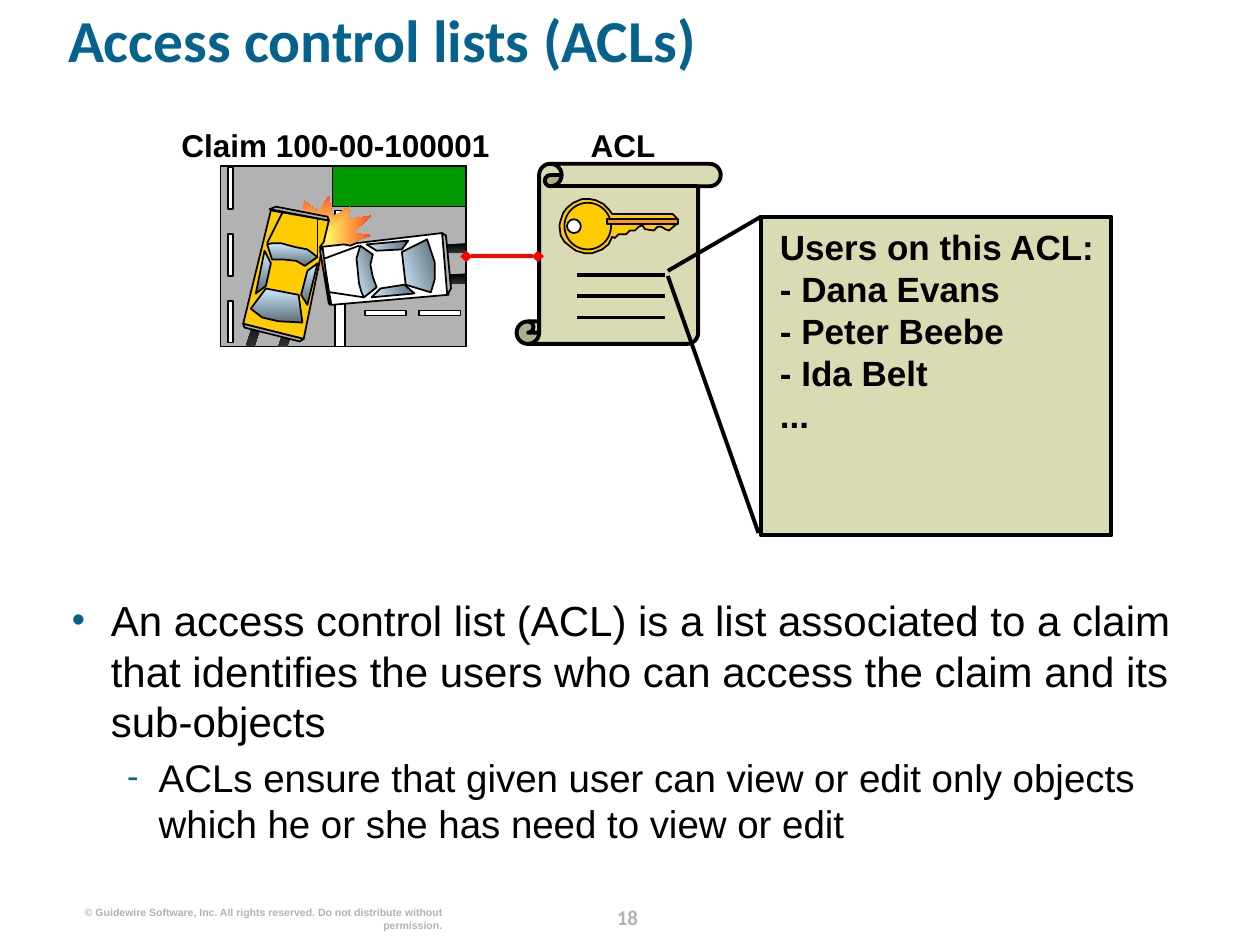
from lxml import etree
from pptx import Presentation
from pptx import util as u
from pptx.dml.color import RGBColor
from pptx.enum import shapes, text
from pptx.oxml.ns import qn

COLUMNS, ROWS = 100, 75
CELL = u.Inches(10) / COLUMNS
COLORS = {
    "black": "000000", "white": "FFFFFF", "title": "04628C", "footer": "B2B2B2",
    "paper": "DADAB3", "road": "B2B2B2", "grass": "009900", "yellow": "FFCC00",
    "orange": "FF9900", "red": "FF0000", "flame": "FFFF66", "tire": "333333",
    "glass": "CCECFF", "glass_dark": "5E6D76",
}
RECTANGLE = shapes.MSO_SHAPE.RECTANGLE
OVAL = shapes.MSO_SHAPE.OVAL
TIRE = ("black", "tire")
GLASS = ("glass", "glass_dark")
ACROSS = 18.5
DOWN = 270

TIRES = [
    [(34.1, 20.1), (36.9, 20.1), (36.9, 19.3), (34.1, 19.5)],
    [(34.1, 22.6), (36.9, 22.5), (36.9, 21.7), (34.1, 21.9)],
    [(20.4, 24.8), (19.5, 27.5), (20.2, 27.5), (21, 25)],
    [(22.8, 25.4), (22.1, 27.5), (22.8, 27.5), (23.5, 25.4)],
]
BUMPERS = [
    [(19.3, 25.7), (24.1, 26.9), (23.8, 27.1), (19.4, 26)],
    [(35.1, 18.5), (35.5, 23.4), (35.8, 22.9), (35.4, 18.7)],
    [(26.2, 24.2), (25.6, 19.6), (25.4, 19.9), (26.1, 24.1)],
    [(21.4, 16.6), (21.9, 16.4), (26, 17.2), (26.1, 17.5)],
]
YELLOW_BODY = [(21.5, 16.7), (19.3, 25.7), (24.1, 26.9), (25.5, 20.1),
               (25.4, 19.6), (25.7, 19.2), (26.1, 17.5)]
YELLOW_WINDOWS = [
    [(21.2, 19.4), (21.6, 20.6), (22.5, 20.6), (23.5, 20.7), (24.2, 21.1),
     (25.2, 20.4), (24.4, 19.8), (23.4, 19.6), (22.3, 19.3), (21.6, 19.3)],
    [(21.1, 22.9), (19.9, 24.5), (20.8, 25.2), (22.1, 25.5), (24, 25.6), (23.7, 23.4)],
    [(24.4, 21.5), (25.2, 20.9), (24.4, 24.2), (23.9, 23.4)],
    [(21.5, 20.9), (21.1, 22.7), (20.3, 23.3), (21, 19.9)],
]
YELLOW_CREASES = [((21.2, 19.3), (22.4, 16.9)), ((25.2, 20.3), (25.2, 17.4))]
WHITE_BODY = [(26.3, 24.2), (35.6, 23.4), (35.1, 18.5), (28.3, 19.3),
              (27.8, 19.5), (27.3, 19.4), (25.5, 19.6)]
WHITE_WINDOWS = [
    [(28.9, 23.6), (29.9, 22.8), (29.6, 22), (29.4, 21), (29.6, 20.2), (28.6, 19.5),
     (28.3, 20.5), (28.4, 21.5), (28.5, 22.5), (28.7, 23.2)],
    [(32.2, 22.6), (34.2, 23.2), (34.5, 22.2), (34.5, 20.8), (33.9, 19), (31.9, 20)],
    [(29.9, 19.9), (29.1, 19.4), (32.4, 19.1), (31.9, 19.8)],
    [(30.2, 22.9), (32.1, 22.6), (32.9, 23.3), (29.5, 23.6)],
]
WHITE_CREASES = [((28.9, 23.6), (26.2, 23.2)), ((28.5, 19.5), (25.8, 20.5))]
KEY = [
    (48.6, 17), (48.3, 16.6), (47.9, 16.2), (47.3, 15.9), (46.8, 15.8), (46.2, 15.8),
    (45.5, 16.1), (45, 16.5), (44.7, 16.9), (44.5, 17.5), (44.4, 17.9), (44.5, 18.7),
    (44.8, 19.2), (45.3, 19.6), (45.7, 19.9), (46.4, 20.1), (47, 20.1), (47.8, 19.8),
    (48.3, 19.4), (48.6, 18.8), (48.8, 18.9), (49.1, 18.6), (49.7, 18.6), (50, 18.3),
    (50.4, 18.3), (50.7, 18), (51, 17.9), (51.2, 18.2), (51.9, 18.3), (52.2, 18),
    (52.5, 18), (52.8, 18.2), (53.1, 18.3), (53.8, 17.7), (53.8, 17.4), (53.4, 17),
]


def grid(value):
    return u.Emu(round(value * CELL))


def color(name):
    return RGBColor.from_string(COLORS[name])


def paint(shape, fill, line_width=1, angle=DOWN):
    shape.shadow.inherit = False
    if isinstance(fill, tuple):
        shape.fill.gradient()
        shape.fill.gradient_angle = angle
        for stop, name in zip(shape.fill.gradient_stops, fill):
            stop.color.rgb = color(name)
    else:
        shape.fill.solid()
        shape.fill.fore_color.rgb = color(fill)
    if line_width:
        shape.line.color.rgb = color("black")
        shape.line.width = u.Pt(line_width)
    else:
        shape.line.fill.background()


def add_preset(parent, kind, box, fill, line_width=1):
    shape = parent.add_shape(kind, *map(grid, box))
    paint(shape, fill, line_width)
    return shape


def add_outline(parent, points, fill, line_width=1, angle=DOWN):
    corners = [(grid(x), grid(y)) for x, y in points]
    builder = parent.build_freeform(*corners[0], scale=1.0)
    builder.add_line_segments(corners[1:], close=True)
    paint(builder.convert_to_shape(), fill, line_width, angle)


def add_line(parent, start, end, line_width=2.25, name="black"):
    line = parent.add_connector(shapes.MSO_CONNECTOR.STRAIGHT, *map(grid, start + end))
    line.line.color.rgb = color(name)
    line.line.width = u.Pt(line_width)
    etree.SubElement(line._element.spPr, qn("a:effectLst"))
    return line


def add_text_box(slide, box):
    frame = slide.shapes.add_textbox(*map(grid, box)).text_frame
    frame.word_wrap = True
    frame.margin_left = frame.margin_right = frame.margin_top = frame.margin_bottom = 0
    return frame


def write(paragraph, lines, size, name="black", font="Arial", bold=True, align="LEFT"):
    paragraph.alignment = getattr(text.PP_ALIGN, align)
    for index, line in enumerate(lines):
        if index:
            paragraph.add_line_break()
        run = paragraph.add_run()
        run.text = line
        run.font.size = u.Pt(size)
        run.font.name = font
        run.font.bold = bold
        run.font.color.rgb = color(name)


def add_bullet(paragraph, character, margin, indent):
    properties = paragraph._p.get_or_add_pPr()
    properties.set("marL", str(u.Inches(margin)))
    properties.set("indent", str(u.Inches(-indent)))
    tint = etree.SubElement(properties, qn("a:buClr"))
    etree.SubElement(tint, qn("a:srgbClr"), val=COLORS["title"])
    etree.SubElement(properties, qn("a:buSzPct"), val="90000")
    etree.SubElement(properties, qn("a:buFont"), typeface="Arial")
    etree.SubElement(properties, qn("a:buChar"), char=character)


def add_burst(parent):
    burst = add_preset(parent, shapes.MSO_SHAPE.EXPLOSION2, (22.2, 15.1, 7.3, 7.5),
                       ("flame", "red"), 0)
    burst.rotation = 44.7
    gradient = burst._element.spPr.find(qn("a:gradFill"))
    gradient.remove(gradient.find(qn("a:lin")))
    center = etree.SubElement(gradient, qn("a:path"), path="shape")
    etree.SubElement(center, qn("a:fillToRect"), l="50000", t="50000", r="50000", b="50000")


def add_car(parent, body, windows, creases, fill, angle):
    add_outline(parent, body, fill)
    for window in windows:
        add_outline(parent, window, GLASS, angle=angle)
    for start, end in creases:
        add_line(parent, start, end, 1)


def add_accident(slide):
    scene = slide.shapes.add_group_shape().shapes
    road = add_preset(scene, RECTANGLE, (17.5, 13.2, 19.5, 14.3), "road")
    for tire in TIRES:
        add_outline(scene, tire, TIRE, 0)
    add_preset(scene, RECTANGLE, (26.4, 13.2, 10.6, 3.2), "grass")
    add_preset(scene, RECTANGLE, (26.6, 16.7, 0.8, 10.8), "white")
    add_burst(scene)
    for row in range(3):
        add_preset(scene, RECTANGLE, (18.1, 13.3 + 5.3 * row, 0.4, 3.3), "white")
    for column in range(2):
        add_preset(scene, RECTANGLE, (28.95 + 4.3 * column, 24.65, 3.3, 0.4), "white")
    add_car(scene, YELLOW_BODY, YELLOW_WINDOWS, YELLOW_CREASES, "yellow", DOWN)
    add_car(scene, WHITE_BODY, WHITE_WINDOWS, WHITE_CREASES, "white", ACROSS)
    for bumper in BUMPERS:
        add_outline(scene, bumper, "road")
    return road


def add_scroll(slide):
    scroll = slide.shapes.add_group_shape().shapes
    add_preset(scroll, shapes.MSO_SHAPE.VERTICAL_SCROLL, (41, 13, 16.2, 14.3), "paper", 2.25)
    add_outline(scroll, KEY, "yellow")
    add_preset(scroll, OVAL, (44.8, 16.1, 3.7, 3.7), "yellow")
    add_preset(scroll, OVAL, (45, 17.4, 1.1, 1.1), "white")
    add_preset(scroll, RECTANGLE, (48.2, 17.4, 5.6, 0.4), "orange")
    for row in range(3):
        y = 21.8 + 1.7 * row
        add_line(scroll, (45.8, y), (52.8, y))


def add_link(slide, road):
    link = add_line(slide.shapes, (37, 20.35), (42.7, 20.2), name="red")
    link.begin_connect(road, 3)
    link.end_y = link.begin_y
    outline = link.line._get_or_add_ln()
    for end in ("a:headEnd", "a:tailEnd"):
        etree.SubElement(outline, qn(end), type="diamond")


def add_user_list(slide):
    add_preset(slide.shapes, RECTANGLE, (60.4, 17.2, 27.8, 25.3), "paper", 2.25)
    add_line(slide.shapes, (60.2, 42.3), (53, 21.9))
    add_line(slide.shapes, (53, 21.5), (60.4, 17.2))
    users = ["Users on this ACL:", "- Dana Evans", "- Peter Beebe", "- Ida Belt", "..."]
    write(add_text_box(slide, (61.9, 17.9, 25.9, 16.7)).paragraphs[0], users, 20)


def add_body(slide):
    frame = add_text_box(slide, (5.7, 47.2, 91, 22.7))
    point = frame.paragraphs[0]
    add_bullet(point, "•", 0.31, 0.31)
    write(point, ["An access control list (ACL) is a list associated to a claim that "
                  "identifies the users who can access the claim and its sub-objects"],
          24, bold=False)
    detail = frame.add_paragraph()
    detail.level = 1
    add_bullet(detail, "-", 0.69, 0.25)
    detail.space_before = u.Pt(4.4)
    write(detail, ["ACLs ensure that given user can view or edit only objects which "
                   "he or she has need to view or edit"], 22, bold=False)


def add_title(slide):
    title = add_text_box(slide, (5.4, 1.3, 91, 8.1)).paragraphs[0]
    title.line_spacing = 0.8
    write(title, ["Access control lists (ACLs)"], 34, "title", "Calibri")


def add_footer(slide):
    notice = add_text_box(slide, (6.1, 71.9, 29, 1)).paragraphs[0]
    write(notice, ["© Guidewire Software, Inc. All rights reserved. "
                   "Do not distribute without permission."], 6, "footer", align="RIGHT")
    number = add_text_box(slide, (47.3, 71.3, 5.0, 2.5)).paragraphs[0]
    number.line_spacing = u.Pt(18)
    write(number, ["18"], 12, "footer", "Calibri", align="CENTER")


def main():
    presentation = Presentation()
    presentation.slide_width = grid(COLUMNS)
    presentation.slide_height = grid(ROWS)
    slide = presentation.slides.add_slide(presentation.slide_layouts[6])
    add_title(slide)
    road = add_accident(slide)
    add_scroll(slide)
    add_link(slide, road)
    claim = add_text_box(slide, (14.4, 10, 26.6, 3)).paragraphs[0]
    write(claim, ["Claim 100-00-100001"], 18)
    label = add_text_box(slide, (45.2, 10, 8.5, 3)).paragraphs[0]
    write(label, ["ACL"], 18, align="CENTER")
    add_user_list(slide)
    add_body(slide)
    add_footer(slide)
    presentation.save("out.pptx")


if __name__ == "__main__":
    main()
